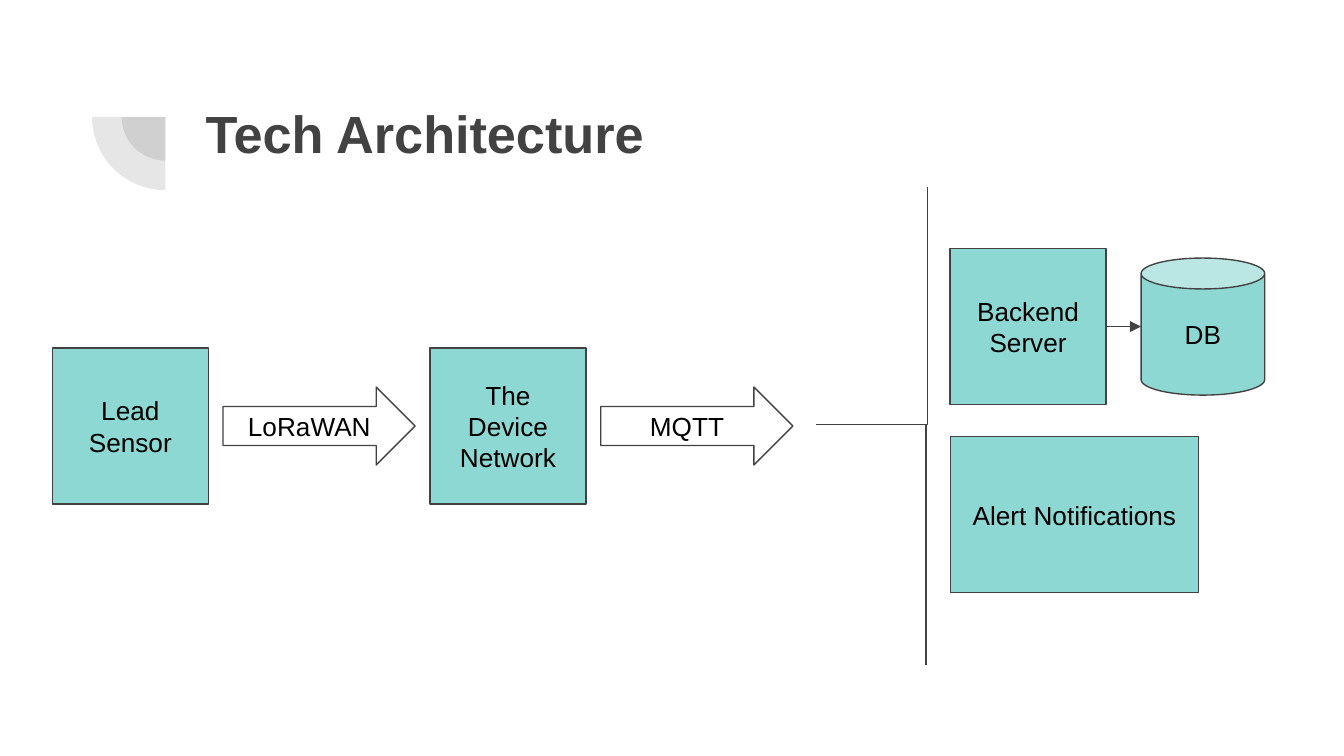
from dataclasses import dataclass

from lxml import etree
from pptx import Presentation
from pptx.dml.color import RGBColor
from pptx.enum.shapes import MSO_CONNECTOR, MSO_SHAPE
from pptx.enum.text import MSO_ANCHOR, PP_ALIGN
from pptx.oxml.ns import qn
from pptx.slide import Slide
from pptx.util import Inches, Pt

RECTANGLE, ARROW, CAN, PIE = (
    MSO_SHAPE.RECTANGLE, MSO_SHAPE.RIGHT_ARROW, MSO_SHAPE.CAN, MSO_SHAPE.PIE)
STRAIGHT, ELBOW = MSO_CONNECTOR.STRAIGHT, MSO_CONNECTOR.ELBOW
TOP, MIDDLE = MSO_ANCHOR.TOP, MSO_ANCHOR.MIDDLE
LEFT, CENTER = PP_ALIGN.LEFT, PP_ALIGN.CENTER


@dataclass(frozen=True)
class Theme:
    font: str = "Arial"
    ink: RGBColor = RGBColor(0x42, 0x42, 0x42)
    label: RGBColor = RGBColor(0, 0, 0)
    teal: RGBColor = RGBColor(0x8D, 0xD8, 0xD3)
    white: RGBColor = RGBColor(0xFF, 0xFF, 0xFF)
    title_size: float = 28
    label_size: float = 14
    line_width: float = 0.75
    ornament_alpha: int = 13000


@dataclass(frozen=True)
class Node:
    text: str
    left: float
    top: float
    width: float = 1.16
    height: float = 1.16
    kind: MSO_SHAPE = RECTANGLE
    fill: RGBColor = Theme.teal


@dataclass(frozen=True)
class Link:
    start: tuple[float, float]
    end: tuple[float, float]
    bent: bool = False


THEME = Theme()
SLIDE_WIDTH = Inches(10)
SLIDE_HEIGHT = SLIDE_WIDTH * 9 // 16
STAGE_LEFT, STAGE_STEP, STAGE_TOP = 0.39, 2.81, 2.59
ARROW_OFFSET, ARROW_TOP = 1.27, 2.88
SERVICE_LEFT = 7.07
FORK = (6.07, 3.16)
ORNAMENT_CENTER = (1.23, 0.87)
ORNAMENT_DIAMETERS = (0.65, 1.09)

STAGES = [("Lead Sensor", "LoRaWAN"), ("The Device Network", "MQTT")]
SERVICES = [
    Node("Backend Server", SERVICE_LEFT, 1.85),
    Node("DB", 8.49, 1.92, 0.92, 1.02, CAN),
    Node("Alert Notifications", SERVICE_LEFT, 3.25, 1.85),
]
LINKS = [
    Link((8.23, 2.43), (8.49, 2.43)),
    Link(FORK, (6.89, 4.95), bent=True),
    Link(FORK, (6.9, 1.39), bent=True),
]


def write_text(holder, text: str, size: float, color: RGBColor, bold: bool,
               align: PP_ALIGN, anchor: MSO_ANCHOR) -> None:
    frame = holder.text_frame
    frame.text = text
    margins = dict.fromkeys(
        ("margin_left", "margin_top", "margin_right", "margin_bottom"), Inches(0.1))
    for name, value in {**margins, "word_wrap": True, "vertical_anchor": anchor}.items():
        setattr(frame, name, value)
    paragraph = frame.paragraphs[0]
    paragraph.alignment = align
    font = paragraph.runs[0].font
    for name, value in {"name": THEME.font, "size": Pt(size), "bold": bold}.items():
        setattr(font, name, value)
    font.color.rgb = color


def draw_title(slide: Slide, text: str) -> None:
    title = slide.shapes.title
    place = {"left": 1.43, "top": 0.65, "width": 7.69, "height": 1.09}
    for name, value in place.items():
        setattr(title, name, Inches(value))
    write_text(title, text, THEME.title_size, THEME.ink, True, LEFT, TOP)


def draw_ornament(slide: Slide, diameter: float) -> None:
    x, y = (center - diameter / 2 for center in ORNAMENT_CENTER)
    quarter = slide.shapes.add_shape(
        PIE, Inches(x), Inches(y), Inches(diameter), Inches(diameter))
    quarter.adjustments[0], quarter.adjustments[1] = 54, 108
    quarter.shadow.inherit = False
    quarter.fill.solid()
    quarter.fill.fore_color.rgb = THEME.ink
    quarter.line.fill.background()
    color = quarter._element.spPr.find(qn("a:solidFill"))[0]
    etree.SubElement(color, qn("a:alpha"), val=str(THEME.ornament_alpha))


def draw_node(slide: Slide, node: Node) -> None:
    shape = slide.shapes.add_shape(
        node.kind, Inches(node.left), Inches(node.top),
        Inches(node.width), Inches(node.height))
    shape.shadow.inherit = False
    shape.fill.solid()
    shape.fill.fore_color.rgb = node.fill
    shape.line.color.rgb = THEME.ink
    shape.line.width = Pt(THEME.line_width)
    write_text(shape, node.text, THEME.label_size, THEME.label, False, CENTER, MIDDLE)


def draw_link(slide: Slide, link: Link) -> None:
    connector = slide.shapes.add_connector(
        ELBOW if link.bent else STRAIGHT,
        *(Inches(value) for value in link.start + link.end))
    connector.line.color.rgb = THEME.ink
    connector.line.width = Pt(THEME.line_width)
    properties = connector._element.spPr
    if link.bent:
        properties.find(qn("a:prstGeom")).set("prst", "bentConnector2")
    else:
        etree.SubElement(properties.find(qn("a:ln")), qn("a:tailEnd"), type="triangle")
    etree.SubElement(properties, qn("a:effectLst"))


def main() -> None:
    deck = Presentation()
    deck.slide_width, deck.slide_height = SLIDE_WIDTH, SLIDE_HEIGHT
    slide = deck.slides.add_slide(deck.slide_layouts[5])
    for diameter in ORNAMENT_DIAMETERS:
        draw_ornament(slide, diameter)
    draw_title(slide, "Tech Architecture")
    for index, (stage, protocol) in enumerate(STAGES):
        left = STAGE_LEFT + index * STAGE_STEP
        draw_node(slide, Node(stage, left, STAGE_TOP))
        draw_node(slide, Node(protocol, left + ARROW_OFFSET, ARROW_TOP,
                              1.43, 0.58, ARROW, THEME.white))
    for service in SERVICES:
        draw_node(slide, service)
    for link in LINKS:
        draw_link(slide, link)
    deck.save("out.pptx")


if __name__ == "__main__":
    main()
